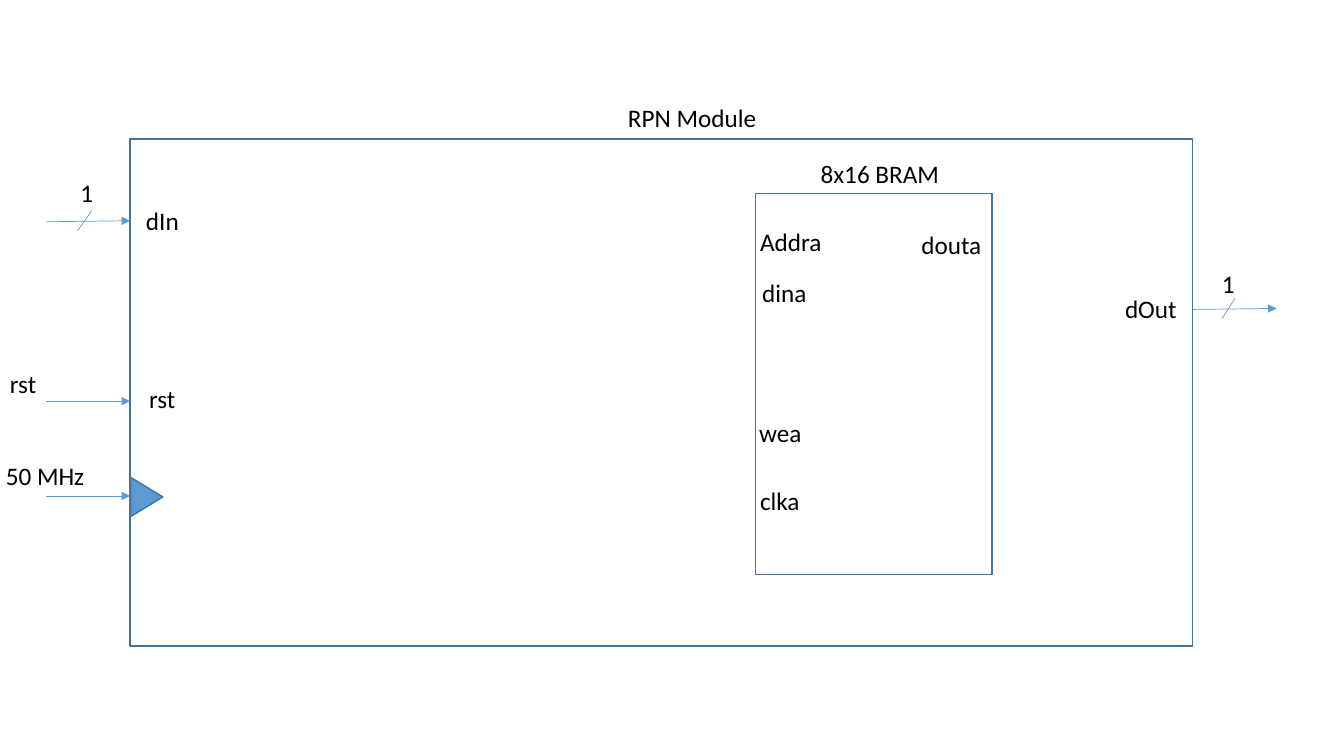
from pptx import Presentation
from pptx.dml.color import RGBColor as RGB
from pptx.enum.shapes import MSO_CONNECTOR as CONN, MSO_SHAPE as SHAPE
from pptx.enum.text import MSO_AUTO_SIZE as AUTO
from pptx.oxml.ns import qn
from pptx.util import Pt
from lxml.etree import SubElement

PX = 9144
THEME = {
    "font": "Calibri",
    "size": Pt(18),
    "text": RGB(0x00, 0x00, 0x00),
    "accent": RGB(0x5B, 0x9B, 0xD5),
    "outline": RGB(0x43, 0x73, 0x9E),
    "outline_width": Pt(1),
    "wire_width": Pt(0.5),
}
LABEL_H = 40


def add_block(shapes, kind, x, y, w, h, fill=None):
    sp = shapes.add_shape(kind, x * PX, y * PX, w * PX, h * PX)
    sp.shadow.inherit = False
    if fill is None:
        sp.fill.background()
    else:
        sp.fill.solid()
        sp.fill.fore_color.rgb = fill
    sp.line.color.rgb = THEME["outline"]
    sp.line.width = THEME["outline_width"]
    return sp


def add_label(shapes, text, x, y, w, wrap=False):
    tb = shapes.add_textbox(x * PX, y * PX, w * PX, LABEL_H * PX)
    tf = tb.text_frame
    tf.text = text
    tf.word_wrap = wrap
    tf.auto_size = AUTO.SHAPE_TO_FIT_TEXT
    r = tf.paragraphs[0].runs[0]
    r.font.name = THEME["font"]
    r.font.size = THEME["size"]
    r.font.color.rgb = THEME["text"]


prs = Presentation()
prs.slide_width = 1333 * PX
prs.slide_height = 750 * PX
slide = prs.slides.add_slide(prs.slide_layouts[6])
shapes = slide.shapes

add_block(shapes, SHAPE.RECTANGLE, 129, 138, 1054, 503)
clock = add_block(shapes, SHAPE.ISOSCELES_TRIANGLE, 126, 477, 39, 32, THEME["accent"])
clock.rotation = 90

wires = [
    (46, 492, 129, 492, True),
    (46, 398, 129, 398, True),
    (46, 220, 129, 219, True),
    (1183, 307, 1266, 306, True),
    (91, 209, 77, 229, False),
    (1225, 296, 1212, 316, False),
]
for x1, y1, x2, y2, arrow in wires:
    c = shapes.add_connector(CONN.STRAIGHT, x1 * PX, y1 * PX, x2 * PX, y2 * PX)
    c.line.color.rgb = THEME["accent"]
    c.line.width = THEME["wire_width"]
    if arrow:
        SubElement(c.line._get_or_add_ln(), qn("a:tailEnd"), type="triangle")
    SubElement(c._element.spPr, qn("a:effectLst"))

module_labels = [
    ("rst", 138, 375, 46),
    ("dIn", 135, 199, 53),
    ("dOut", 1106, 286, 72),
    ("rst", 0, 361, 46),
    ("1", 70, 171, 33),
    ("1", 1202, 261, 33),
]
for text, x, y, w in module_labels:
    add_label(shapes, text, x, y, w)
add_label(shapes, "50 MHz", -4, 452, 100, wrap=True)
add_label(shapes, "RPN Module", 613, 97, 150, wrap=True)

bram = shapes.add_group_shape().shapes
add_block(bram, SHAPE.RECTANGLE, 749, 192, 235, 378)
add_label(bram, "8x16 BRAM", 804, 152, 151, wrap=True)
bram_ports = [
    ("clka", 744, 477, 60),
    ("wea", 743, 409, 63),
    ("douta", 904, 223, 80),
    ("Addra", 744, 220, 82),
    ("dina", 746, 270, 65),
]
for text, x, y, w in bram_ports:
    add_label(bram, text, x, y, w)

prs.save("out.pptx")
